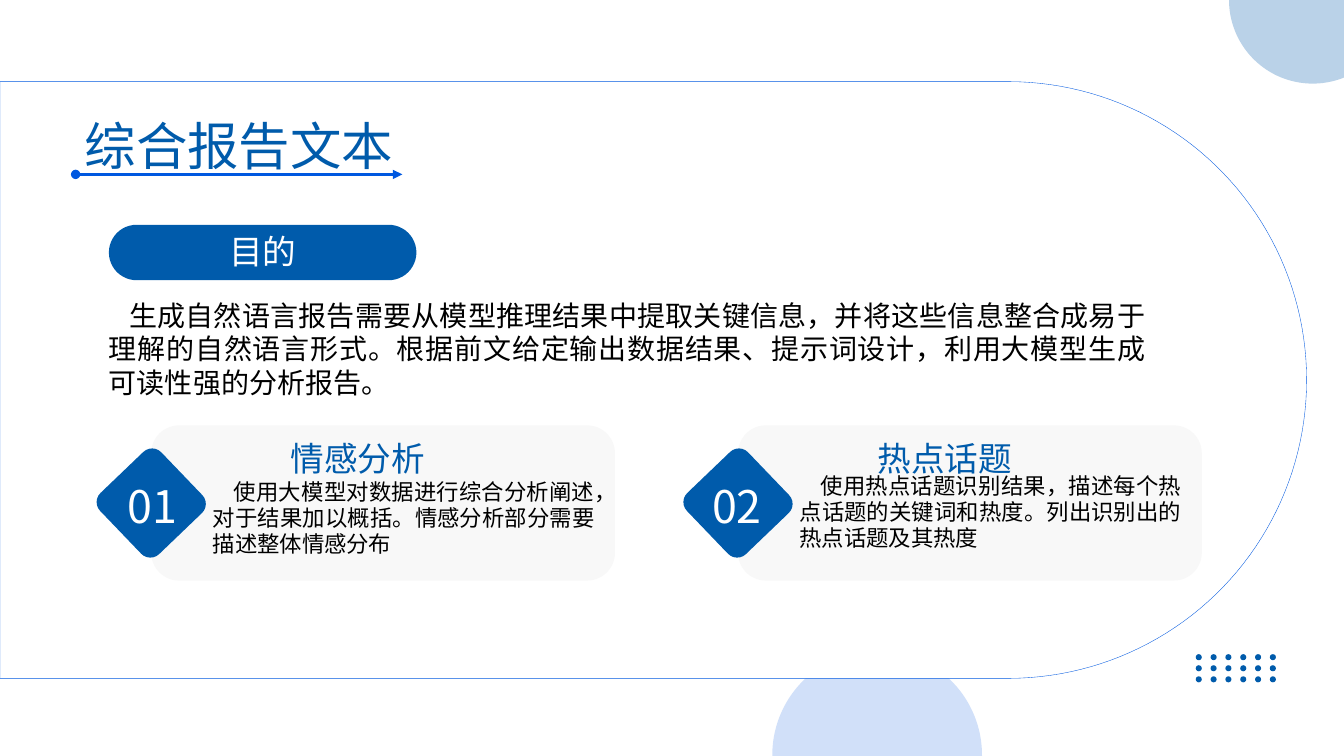
import math

from pptx import Presentation
from pptx import util as u
from pptx.dml.color import RGBColor
from pptx.enum import shapes, text
from pptx.oxml.ns import qn
from lxml import etree

Inches = u.Inches
WHITE = RGBColor(0xFF, 0xFF, 0xFF)
BLACK = RGBColor(0, 0, 0)
NAVY = RGBColor(0x00, 0x5B, 0xAB)
BLUE = RGBColor(0x00, 0x58, 0xE0)
PALE = RGBColor(0xF8, 0xF8, 0xF8)

deck = Presentation()
deck.slide_width, deck.slide_height = Inches(13.33), Inches(7.5)
page = deck.slides.add_slide(deck.slide_layouts[6])


def paint(shape, color, alpha=None, line=None):
    """Give a shape a flat fill, with an optional opacity and hairline."""
    shape.shadow.inherit = False
    shape.fill.solid()
    shape.fill.fore_color.rgb = color
    if alpha:
        tint = shape.fill._xPr.find(qn("a:solidFill"))[0]
        etree.SubElement(tint, qn("a:alpha"), val=str(alpha * 1000))
    if line:
        shape.line.color.rgb = line
        shape.line.width = u.Pt(0.25)
    else:
        shape.line.fill.background()


def write(words, left, top, width, height, size, color=NAVY, font="Calibri",
          align=text.PP_ALIGN.CENTER, leading=None, indent=0,
          anchor=text.MSO_ANCHOR.TOP):
    box = page.shapes.add_textbox(*map(Inches, (left, top, width, height)))
    frame = box.text_frame
    frame.word_wrap = True
    frame.vertical_anchor = anchor
    frame.margin_left = frame.margin_right = 0
    frame.margin_top = frame.margin_bottom = 0
    para = frame.paragraphs[0]
    para.alignment = align
    if leading:
        para.line_spacing = u.Pt(leading)
    if indent:
        para._p.get_or_add_pPr().set("indent", str(Inches(indent)))
    span = para.add_run()
    span.text = words
    span.font.name = font
    span.font.size = u.Pt(size)
    span.font.color.rgb = color


# Round outlines: centre, radius, arc in degrees, closing corners, look
outlines = [
    (8.7, 7.49, 1.04, 180, 360, [(9.74, 7.5), (7.66, 7.5)], (BLUE, 18)),
    (10, 3.77, 2.96, -90, 90, [(0, 6.73), (0, 0.81)], (WHITE, None, BLUE)),
    (13.02, 0, 0.83, 180, 68, [(13.33, 0)], (NAVY, 27)),
]
for x, y, radius, start, end, corners, look in outlines:
    angles = [math.radians(start + (end - start) * i / 90) for i in range(91)]
    points = [(x + radius * math.cos(a), y + radius * math.sin(a)) for a in angles]
    points = [(Inches(px), Inches(py)) for px, py in points + corners]
    builder = page.shapes.build_freeform(*points[0])
    builder.add_line_segments(points[1:], close=True)
    paint(builder.convert_to_shape(), *look)

# Dot grid
for row in range(3):
    for column in range(6):
        dot = page.shapes.add_shape(
            shapes.MSO_SHAPE.OVAL, Inches(11.86 + 0.147 * column),
            Inches(6.49 + 0.11 * row), Inches(0.06), Inches(0.06))
        paint(dot, NAVY)

# Title and its arrow
arrow = page.shapes.add_connector(
    shapes.MSO_CONNECTOR.STRAIGHT, Inches(0.75), Inches(1.73), Inches(3.99), Inches(1.73))
arrow.line.color.rgb = BLUE
arrow.line.width = u.Pt(2.25)
stroke = arrow.line._get_or_add_ln()
etree.SubElement(stroke, qn("a:headEnd"), type="oval")
etree.SubElement(stroke, qn("a:tailEnd"), type="triangle")
etree.SubElement(arrow._element.spPr, qn("a:effectLst"))
write("综合报告文本", 0.75, 1.13, 3.24, 0.62, 36.7, leading=44)

# Purpose
pill = page.shapes.add_shape(
    shapes.MSO_SHAPE.ROUNDED_RECTANGLE, Inches(1.08), Inches(2.23), Inches(3.05), Inches(0.55))
pill.adjustments[0] = 0.5
paint(pill, NAVY)
write("目的", 1.08, 2.24, 3.05, 0.51, 24, WHITE, leading=28.8,
      anchor=text.MSO_ANCHOR.MIDDLE)
write("生成自然语言报告需要从模型推理结果中提取关键信息，并将这些信息整合成易于"
      "理解的自然语言形式。根据前文给定输出数据结果、提示词设计，利用大模型生成"
      "可读性强的分析报告。",
      1.08, 2.96, 10.28, 1.01, 20, BLACK, "Arial", text.PP_ALIGN.JUSTIFY, indent=0.2)

# Numbered cards: left edge, number, number left, heading, text top, text
cards = [
    (1.5, "01", 0.96, "情感分析", 4.75,
     "使用大模型对数据进行综合分析阐述，对于结果加以概括。情感分析部分需要描述整体情感分布"),
    (7.32, "02", 6.76, "热点话题", 4.69,
     "使用热点话题识别结果，描述每个热点话题的关键词和热度。列出识别出的热点话题及其热度"),
]
for left, number, number_left, heading, text_top, words in cards:
    card = page.shapes.add_shape(
        shapes.MSO_SHAPE.ROUNDED_RECTANGLE, Inches(left), Inches(4.22), Inches(4.6), Inches(1.54))
    card.adjustments[0] = 0.18
    paint(card, PALE)
    diamond = page.shapes.add_shape(
        shapes.MSO_SHAPE.ROUNDED_RECTANGLE, Inches(left - 0.42), Inches(4.57),
        Inches(0.84), Inches(0.84))
    diamond.adjustments[0] = 0.15
    diamond.rotation = 316.2
    paint(diamond, NAVY)
    write(heading, left + 0.61, 4.34, 2.88, 0.39, 24, leading=28.8)
    write(words, left + 0.61, text_top, 3.79, 0.8, 16, BLACK, "Arial",
          text.PP_ALIGN.JUSTIFY, leading=18.7, indent=0.21)
    write(number, number_left, 4.75, 1.1, 0.53, 32, WHITE, "Noto Sans CJK SC", leading=38.4)

deck.save("out.pptx")
